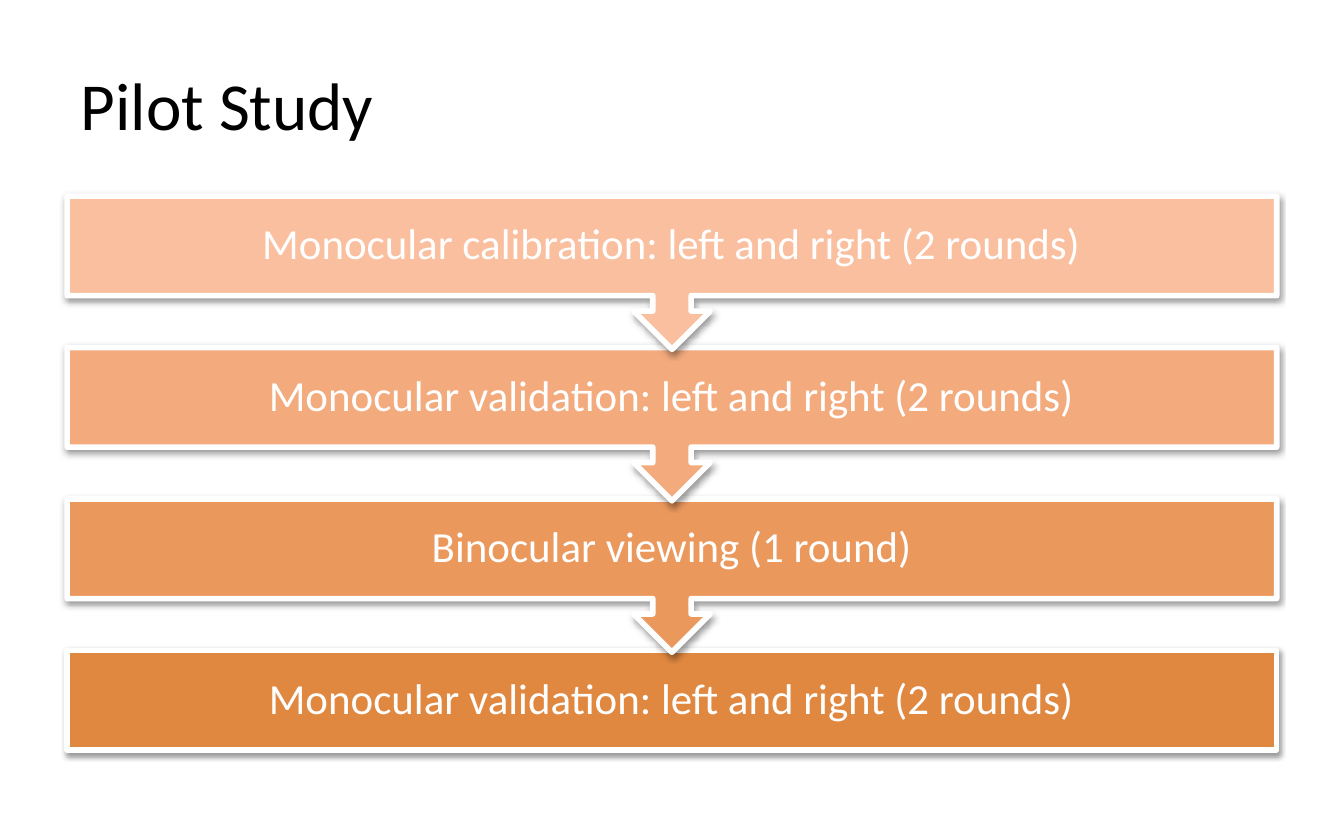
import pptx
import pptx.util
import pptx.dml.color
import pptx.enum.shapes
import pptx.enum.text
import pptx.oxml
import pptx.oxml.ns

Inches, Pt = pptx.util.Inches, pptx.util.Pt
RGBColor = pptx.dml.color.RGBColor
SHAPES = pptx.enum.shapes.MSO_SHAPE
ALIGN = pptx.enum.text.PP_ALIGN
MIDDLE = pptx.enum.text.MSO_ANCHOR.MIDDLE

TITLE = "Pilot Study"
STEPS = [
    ("Monocular calibration: left and right (2 rounds)", "FABF9F"),
    ("Monocular validation: left and right (2 rounds)", "F3AA7D"),
    ("Binocular viewing (1 round)", "EB985D"),
    ("Monocular validation: left and right (2 rounds)", "E08840"),
]

THEME = {
    "font": "Calibri",
    "title_size": 36,
    "step_size": 23,
    "title_color": "000000",
    "step_color": "FFFFFF",
    "outline": "FFFFFF",
    "outline_width": 3,
}

LEFT, WIDTH = 0.5, 9
FIRST_TOP, LAST_TOP = 1.46, 4.84
BAR_HEIGHT, CALLOUT_HEIGHT = 0.74, 1.14
INSET = 0.18

SHADOW = (
    f'<a:outerShdw {pptx.oxml.ns.nsdecls("a")} blurRad="{Pt(3.1)}" dist="{Pt(1.6)}" '
    'dir="5400000" rotWithShape="0">'
    '<a:srgbClr val="000000"><a:alpha val="38000"/></a:srgbClr></a:outerShdw>'
)


def write(frame, text, size, color, align):
    frame.word_wrap = True
    frame.vertical_anchor = MIDDLE
    paragraph = frame.paragraphs[0]
    paragraph.alignment = align
    run = paragraph.add_run()
    run.text = text
    run.font.name = THEME["font"]
    run.font.size = Pt(size)
    run.font.color.rgb = RGBColor.from_string(color)
    return paragraph


def add_step(slide, text, fill, top, is_last):
    """Add one bar; every bar but the last has an arrow to the next."""
    kind = SHAPES.RECTANGLE if is_last else SHAPES.DOWN_ARROW_CALLOUT
    height = BAR_HEIGHT if is_last else CALLOUT_HEIGHT
    step = slide.shapes.add_shape(
        kind, Inches(LEFT), Inches(top), Inches(WIDTH), Inches(height))
    step.fill.solid()
    step.fill.fore_color.rgb = RGBColor.from_string(fill)
    step.line.color.rgb = RGBColor.from_string(THEME["outline"])
    step.line.width = Pt(THEME["outline_width"])
    step.shadow.inherit = False
    effects = step._element.spPr.find(pptx.oxml.ns.qn("a:effectLst"))
    effects.append(pptx.oxml.parse_xml(SHADOW))

    frame = step.text_frame
    frame.margin_left = frame.margin_right = Inches(INSET)
    frame.margin_top = frame.margin_bottom = Inches(INSET)
    label = write(frame, text, THEME["step_size"], THEME["step_color"], ALIGN.CENTER)
    label.line_spacing = 0.9


def main():
    deck = pptx.Presentation()
    deck.slide_width, deck.slide_height = Inches(10), Inches(6.25)
    slide = deck.slides.add_slide(deck.slide_layouts[5])

    title = slide.shapes.title
    title.left, title.top = Inches(LEFT), Inches(0.25)
    title.width, title.height = Inches(WIDTH), Inches(1.04)
    write(title.text_frame, TITLE, THEME["title_size"], THEME["title_color"], ALIGN.LEFT)

    last = len(STEPS) - 1
    pitch = (LAST_TOP - FIRST_TOP) / last
    # Bottom bar first, so that each arrow tip lies over the bar below it.
    for index in range(last, -1, -1):
        text, fill = STEPS[index]
        add_step(slide, text, fill, FIRST_TOP + index * pitch, index == last)

    deck.save("out.pptx")


if __name__ == "__main__":
    main()
